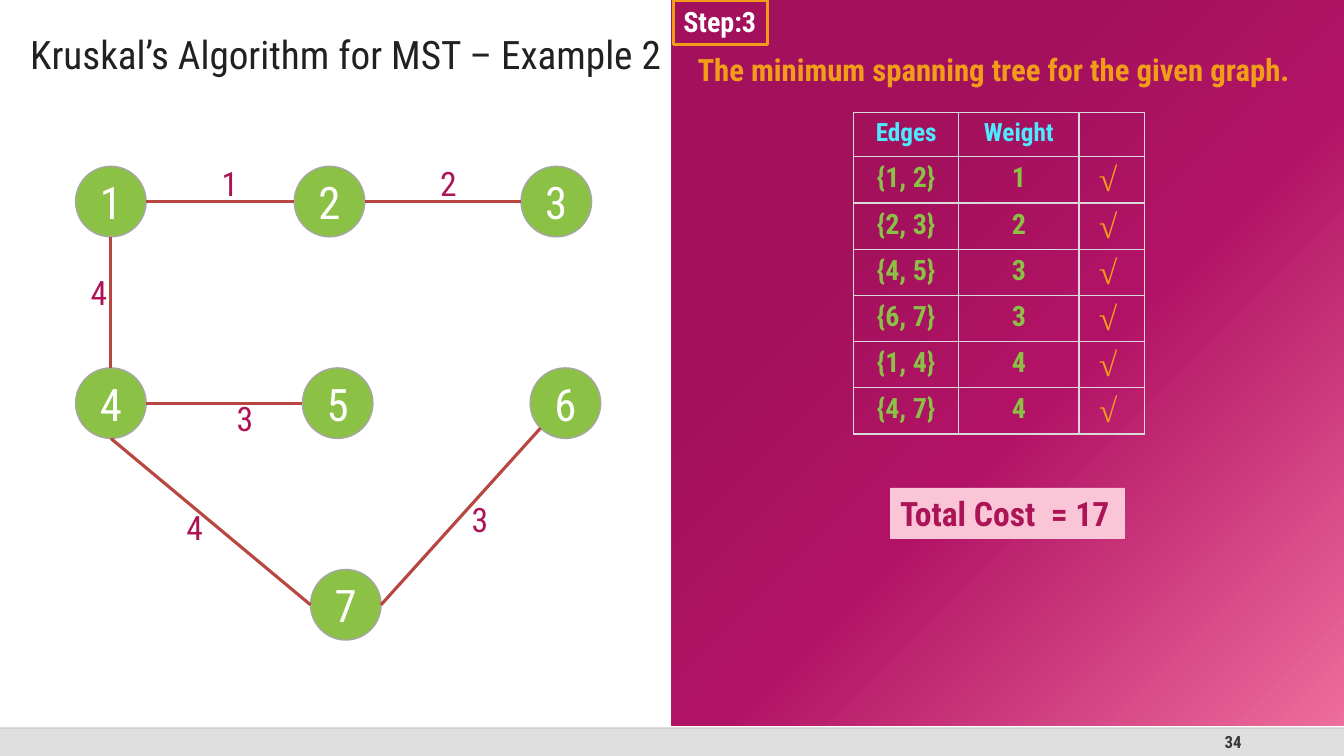
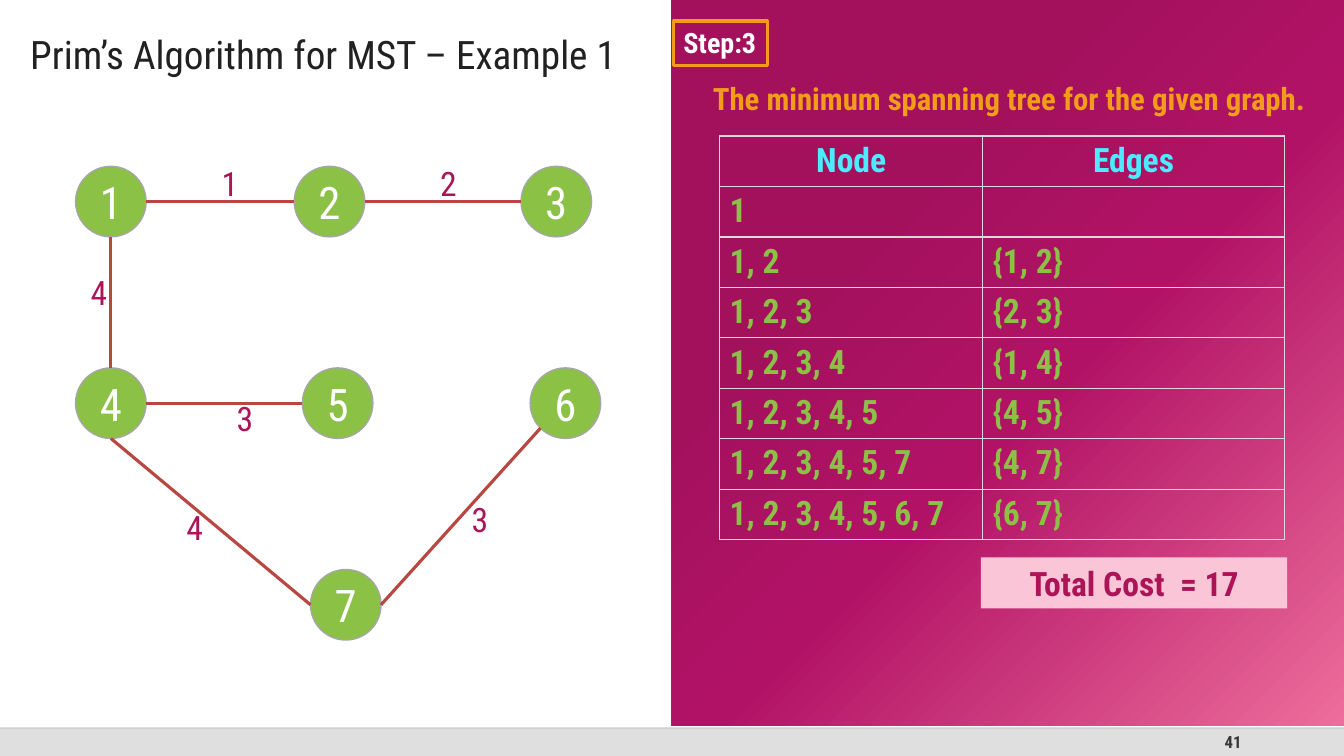
"""Build two slides that end worked examples of minimum spanning trees."""
import math

import lxml.etree
import pptx
import pptx.dml.color
import pptx.enum.shapes
import pptx.enum.text
import pptx.oxml
import pptx.oxml.ns
import pptx.util

Pt = pptx.util.Pt
RGB = pptx.dml.color.RGBColor.from_string
qn = pptx.oxml.ns.qn
SHAPE = pptx.enum.shapes.MSO_SHAPE
ALIGN = pptx.enum.text.PP_ALIGN
ANCHOR = pptx.enum.text.MSO_ANCHOR


class Theme:
    font, check_font = "Roboto Condensed", "Times New Roman"
    title, number, white = "212121", "373737", "FFFFFF"
    band, band_line = "DFDFDF", "BFBFBF"
    node, node_line, edge, weight = "8BC145", "A6A6A6", "B84742", "AD1457"
    accent, header, grid, total = "F19D19", "4CEBFF", "D9D9D9", "F9C5D7"
    panel = [(30, "A3115D"), (55, "B21266"), (100, "ED6D9B")]
    title_size, node_size, label_size, check_size = 28, 32, 24, 24
    step_size, lead_size, total_size, number_size = 20, 22, 24, 12


def add_box(s, kind, x, y, w, h, fill=None, line=None, width=1):
    """Add a flat shape, or a text box when kind is None."""
    area = Pt(x), Pt(y), Pt(w), Pt(h)
    if kind is None:
        return s.shapes.add_textbox(*area)
    sp = s.shapes.add_shape(kind, *area)
    sp.shadow.inherit = False
    if fill:
        sp.fill.solid()
        sp.fill.fore_color.rgb = RGB(fill)
    else:
        sp.fill.background()
    if line:
        sp.line.color.rgb = RGB(line)
        sp.line.width = Pt(width)
    else:
        sp.line.fill.background()
    return sp


def write(tf, text, size, color, bold=False, align=ALIGN.LEFT,
          anchor=ANCHOR.TOP, wrap=True):
    """Fill a text frame with one formatted paragraph and return it."""
    tf.text = text
    tf.word_wrap = wrap
    tf.vertical_anchor = anchor
    p = tf.paragraphs[0]
    p.alignment = align
    p.font.size = Pt(size)
    for r in p.runs:
        r.font.name = Theme.font
        r.font.size = Pt(size)
        r.font.bold = bold
        r.font.color.rgb = RGB(color)
    return p


DIAMETER = 50.4
nodes = {1: (79.2, 144), 2: (235.4, 144), 3: (397.4, 144), 4: (79.2, 288),
         5: (241.2, 288), 6: (403.9, 288), 7: (247, 432)}
edges = [(1, 0, 2, 180), (2, 0, 3, 180), (4, 0, 5, 180),
         (1, 90, 4, 270), (6, 135, 7, 0), (4, 90, 7, 180)]
weights = [("4", 57.6, 190.8), ("3", 162, 280.8), ("4", 126, 358.6),
           ("3", 329.8, 352.8), ("1", 151.2, 113), ("2", 307.4, 112.6)]

slides = [
    dict(
        title="Kruskal’s Algorithm for MST – Example 2", number="34",
        step_top=0, lead=(480, 33, 459.4, 34),
        table_at=(609.8, 80.6), cols=[75, 86, 47], row_heights=(31.4, 33),
        sizes=(18, 20), align=ALIGN.CENTER,
        rows=[("Edges", "Weight", ""), ("{1, 2}", "1", ""),
              ("{2, 3}", "2", ""), ("{4, 5}", "3", ""), ("{6, 7}", "3", ""),
              ("{1, 4}", "4", ""), ("{4, 7}", "4", "")],
        checks=6, total=(635.8, 348.5, 167.8, 36.4), total_align=ALIGN.LEFT,
    ),
    dict(
        title="Prim’s Algorithm for MST – Example 1", number="41",
        step_top=15, lead=(497.5, 53.3, 446.4, 34),
        table_at=(514, 97.2), cols=[188, 215.4], row_heights=(36, 36),
        sizes=(24, 24), align=ALIGN.LEFT,
        rows=[("Node", "Edges"), ("1", ""), ("1, 2", "{1, 2}"),
              ("1, 2, 3", "{2, 3}"), ("1, 2, 3, 4", "{1, 4}"),
              ("1, 2, 3, 4, 5", "{4, 5}"), ("1, 2, 3, 4, 5, 7", "{4, 7}"),
              ("1, 2, 3, 4, 5, 6, 7", "{6, 7}")],
        checks=0, total=(700.6, 398.2, 218.9, 36.4),
        total_align=ALIGN.CENTER,
    ),
]

prs = pptx.Presentation()
prs.slide_width, prs.slide_height = Pt(960), Pt(540)

for data in slides:
    s = prs.slides.add_slide(prs.slide_layouts[6])

    add_box(s, SHAPE.RECTANGLE, 0, 520, 960, 20, Theme.band)
    sp = add_box(s, None, 678, 520, 216, 20)
    write(sp.text_frame, data["number"], Theme.number_size, Theme.number,
          True, ALIGN.RIGHT, ANCHOR.MIDDLE)

    sp = add_box(s, SHAPE.RECTANGLE, 480, 0, 480, 518.4)
    sp.fill.gradient()
    grad = sp.element.spPr.find(qn("a:gradFill"))
    for child in list(grad):
        grad.remove(child)
    stops = lxml.etree.SubElement(grad, qn("a:gsLst"))
    for position, color in Theme.panel:
        stop = lxml.etree.SubElement(stops, qn("a:gs"), pos=str(position * 1000))
        lxml.etree.SubElement(stop, qn("a:srgbClr"), val=color)
    circle = lxml.etree.SubElement(grad, qn("a:path"))
    circle.set("path", "circle")
    lxml.etree.SubElement(circle, qn("a:fillToRect"), r="100000", b="100000")

    sp = add_box(s, None, 0, 1, 490, 58)
    sp.text_frame.margin_left = Pt(21.6)
    p = write(sp.text_frame, data["title"], Theme.title_size, Theme.title,
              anchor=ANCHOR.MIDDLE)
    p.line_spacing = 1.5

    for name, (x, y) in nodes.items():
        sp = add_box(s, SHAPE.OVAL, x - DIAMETER / 2, y - DIAMETER / 2,
                     DIAMETER, DIAMETER, Theme.node, Theme.node_line)
        write(sp.text_frame, str(name), Theme.node_size, Theme.white,
              align=ALIGN.CENTER, anchor=ANCHOR.MIDDLE)

    lines = [((0, 520, 960, 520), Theme.band_line, 1, 70)]
    for start, start_angle, end, end_angle in edges:
        ends = []
        for name, angle in ((start, start_angle), (end, end_angle)):
            x, y = nodes[name]
            ends.append(x + DIAMETER / 2 * math.cos(math.radians(angle)))
            ends.append(y + DIAMETER / 2 * math.sin(math.radians(angle)))
        lines.append((ends, Theme.edge, 2.25, 100))
    for ends, color, width, opacity in lines:
        cx = s.shapes.add_connector(pptx.enum.shapes.MSO_CONNECTOR.STRAIGHT,
                                    *[Pt(v) for v in ends])
        cx.line.color.rgb = RGB(color)
        cx.line.width = Pt(width)
        spPr = cx.element.spPr
        lxml.etree.SubElement(spPr, qn("a:effectLst"))
        if opacity < 100:
            lxml.etree.SubElement(next(spPr.iter(qn("a:srgbClr"))),
                                  qn("a:alpha"), val=str(opacity * 1000))

    for text, x, y in weights:
        sp = add_box(s, None, x, y, 28.8, 36)
        write(sp.text_frame, text, Theme.label_size, Theme.weight)

    sp = add_box(s, SHAPE.RECTANGLE, 481, data["step_top"], 67, 31.7,
                 line=Theme.accent, width=2.25)
    write(sp.text_frame, "Step:3", Theme.step_size, Theme.white, True, wrap=False)
    sp = add_box(s, None, *data["lead"])
    write(sp.text_frame, "The minimum spanning tree for the given graph.",
          Theme.lead_size, Theme.accent, True, ALIGN.CENTER)

    rows, cols = data["rows"], data["cols"]
    head, body = data["row_heights"]
    left, top = data["table_at"]
    table = s.shapes.add_table(
        len(rows), len(cols), Pt(left), Pt(top), Pt(sum(cols)),
        Pt(head + body * (len(rows) - 1))).table
    table.first_row = table.horz_banding = False
    for column, width in zip(table.columns, cols):
        column.width = Pt(width)
    for i, row in enumerate(rows):
        table.rows[i].height = Pt(body if i else head)
        for j, text in enumerate(row):
            cell = table.cell(i, j)
            write(cell.text_frame, text, data["sizes"][min(i, 1)],
                  Theme.node if i else Theme.header, True,
                  data["align"] if i else ALIGN.CENTER)
            tcPr = cell._tc.get_or_add_tcPr()
            for side in ("a:lnL", "a:lnR", "a:lnT", "a:lnB"):
                ln = lxml.etree.SubElement(tcPr, qn(side), w=str(Pt(1)))
                fill = lxml.etree.SubElement(ln, qn("a:solidFill"))
                lxml.etree.SubElement(fill, qn("a:srgbClr"), val=Theme.grid)
            cell.fill.background()

    for i in range(data["checks"]):
        sp = add_box(s, None, 773.3, 111 + i * body, 36, body)
        p = write(sp.text_frame, "√", Theme.check_size, Theme.accent, True,
                  ALIGN.CENTER, ANCHOR.MIDDLE)
        p.runs[0].font.name = Theme.check_font
        p.runs[0].font.italic = True

    sp = add_box(s, SHAPE.RECTANGLE, *data["total"], Theme.total)
    write(sp.text_frame, "Total Cost  = 17", Theme.total_size, Theme.weight,
          True, data["total_align"])

prs.save("out.pptx")
